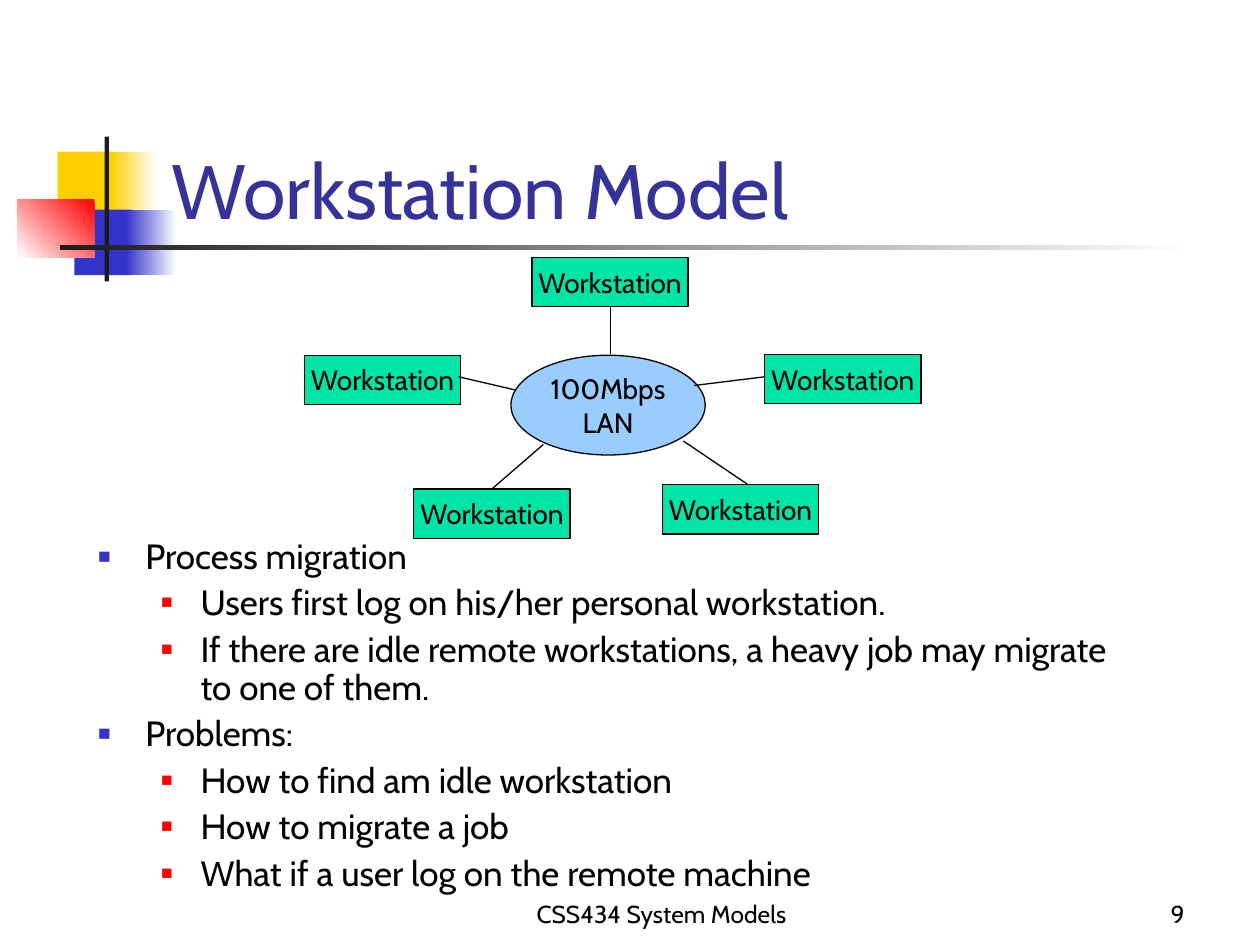
import pptx
import pptx.util
import pptx.dml.color
import pptx.enum.shapes
import pptx.enum.text
import pptx.oxml.ns
import lxml.etree
from dataclasses import dataclass

Pt = pptx.util.Pt
Align = pptx.enum.text.PP_ALIGN
Anchor = pptx.enum.text.MSO_ANCHOR
Shape = pptx.enum.shapes.MSO_SHAPE


@dataclass(frozen=True)
class Theme:
    font: str = "Cabin"
    ink: str = "000000"
    title: str = "333399"
    white: str = "FFFFFF"
    dark: str = "1C1C1C"
    yellow: str = "FFCF01"
    blue: str = "3333CC"
    red: str = "FF0000"
    station: str = "00E4A8"
    network: str = "99CCFF"
    title_size: float = 44
    body_size: float = 20
    label_size: float = 16
    footer_size: float = 14
    outline: float = 0.75


THEME = Theme()
LEVELS = [
    dict(margin=27, hang=27, bullet_color=THEME.blue, bullet_size=60),
    dict(margin=58.5, hang=22.5, bullet_color=THEME.red, bullet_size=55),
]


def rgb(color):
    return pptx.dml.color.RGBColor.from_string(color)


def add_bullet(para, margin, hang, bullet_color, bullet_size):
    properties = para._p.get_or_add_pPr()
    properties.set("marL", str(Pt(margin)))
    properties.set("indent", str(-Pt(hang)))

    def child(parent, tag, **attributes):
        return lxml.etree.SubElement(parent, pptx.oxml.ns.qn(tag), **attributes)

    child(child(properties, "a:buClr"), "a:srgbClr", val=bullet_color)
    child(properties, "a:buSzPct", val=str(bullet_size * 1000))
    child(properties, "a:buFont", typeface="Arial")
    child(properties, "a:buChar", char="■")


def write(frame, text, size, color=THEME.ink, align=Align.LEFT,
          anchor=Anchor.TOP, wrap=True, levels=None, spacing=None, before=0):
    frame.word_wrap = wrap
    frame.vertical_anchor = anchor
    for index, line in enumerate(text.split("\n")):
        para = frame.add_paragraph() if index else frame.paragraphs[0]
        para.alignment = align
        if spacing:
            para.line_spacing = spacing
        para.space_before = Pt(before if index else 0)
        if levels:
            para.level = levels[index]
            add_bullet(para, **LEVELS[levels[index]])
        span = para.add_run()
        span.text = line
        span.font.name = THEME.font
        span.font.size = Pt(size)
        span.font.color.rgb = rgb(color)


def place(shape, left, top, width, height):
    shape.left, shape.top = Pt(left), Pt(top)
    shape.width, shape.height = Pt(width), Pt(height)


def add_block(page, kind, box, fill, outlined=False):
    shape = page.shapes.add_shape(kind, *map(Pt, box))
    shape.shadow.inherit = False
    if isinstance(fill, str):
        shape.fill.solid()
        shape.fill.fore_color.rgb = rgb(fill)
    else:
        start, end, angle = fill
        shape.fill.gradient()
        shape.fill.gradient_angle = angle
        for stop, color in zip(shape.fill.gradient_stops, (start, end)):
            stop.color.rgb = rgb(color)
    if outlined:
        shape.line.color.rgb = rgb(THEME.ink)
        shape.line.width = Pt(THEME.outline)
    else:
        shape.line.fill.background()
    return shape


def add_line(page, start, end):
    line = page.shapes.add_connector(
        pptx.enum.shapes.MSO_CONNECTOR.STRAIGHT, *map(Pt, start + end))
    line.line.color.rgb = rgb(THEME.ink)
    line.line.width = Pt(THEME.outline)
    properties = line._element.spPr
    lxml.etree.SubElement(properties, pptx.oxml.ns.qn("a:effectLst"))


def add_text(page, box, text, **style):
    write(page.shapes.add_textbox(*map(Pt, box)).text_frame, text, **style)


def add_ornament(page, left, top):
    fade = THEME.white
    pieces = [
        (23, 8.7, 34.6, 37.4, THEME.yellow),
        (53.4, 8.7, 25.9, 37.4, (fade, THEME.yellow, 180)),
        (32.5, 41.8, 33.1, 37.4, THEME.blue),
        (62, 41.8, 28.8, 37.4, (fade, THEME.blue, 180)),
        (0, 36, 44, 33.1, (THEME.red, fade, 225)),
        (49.8, 0, 2.5, 82.8, THEME.dark),
        (24.5, 62.3, 648, 2.6, (fade, THEME.dark, 180)),
    ]
    for x, y, width, height, fill in pieces:
        add_block(page, Shape.RECTANGLE, (left + x, top + y, width, height), fill)


def add_title(page, box, text):
    title = page.shapes.title
    place(title, *box)
    write(title.text_frame, text, THEME.title_size, color=THEME.title,
          anchor=Anchor.BOTTOM)


def add_network(page, left, top):
    label = dict(size=THEME.label_size, align=Align.CENTER,
                 anchor=Anchor.MIDDLE, wrap=False)
    network = add_block(page, Shape.OVAL, (left + 118, top + 56, 111, 57),
                        THEME.network, outlined=True)
    write(network.text_frame, "100Mbps\nLAN", **label)
    stations = [
        ((130, 0), (175, 28), (175, 55.5)),
        ((0, 56), (88, 68.3), (121, 76)),
        ((263, 55.5), (263, 68.3), (222.7, 73.3)),
        ((204.5, 130), (253.5, 130), (216.5, 105)),
        ((62.5, 132.5), (107, 132.5), (136.5, 107)),
    ]
    for corner, start, end in stations:
        corner, start, end = ((left + x, top + y) for x, y in (corner, start, end))
        station = add_block(page, Shape.RECTANGLE, corner + (89.3, 28.1),
                            THEME.station, outlined=True)
        write(station.text_frame, "Workstation", **label)
        add_line(page, start, end)


def add_points(page, box, points):
    levels, lines = zip(*points)
    add_text(page, box, "\n".join(lines), size=THEME.body_size,
             levels=levels, spacing=0.9, before=5)


def add_footer(page, top, height, text, number):
    style = dict(size=THEME.footer_size, anchor=Anchor.BOTTOM)
    add_text(page, (264, top, 228, height), text, align=Align.CENTER, **style)
    add_text(page, (534, top, 150, height), number, align=Align.RIGHT, **style)


def main():
    deck = pptx.Presentation()
    deck.slide_width, deck.slide_height = Pt(720), Pt(540)
    page = deck.slides.add_slide(deck.slide_layouts.get_by_name("Title Only"))
    add_ornament(page, 10, 78)
    add_title(page, (91, 48, 613, 90), "Workstation Model")
    add_footer(page, 498, 36, "CSS434 System Models", "9")
    add_points(page, (49, 304.5, 612, 212), [
        (0, "Process migration"),
        (1, "Users first log on his/her personal workstation."),
        (1, "If there are idle remote workstations, a heavy job may migrate to one of them."),
        (0, "Problems:"),
        (1, "How to find am idle workstation"),
        (1, "How to migrate a job"),
        (1, "What if a user log on the remote machine"),
    ])
    add_network(page, 174, 147)
    deck.save("out.pptx")


if __name__ == "__main__":
    main()
